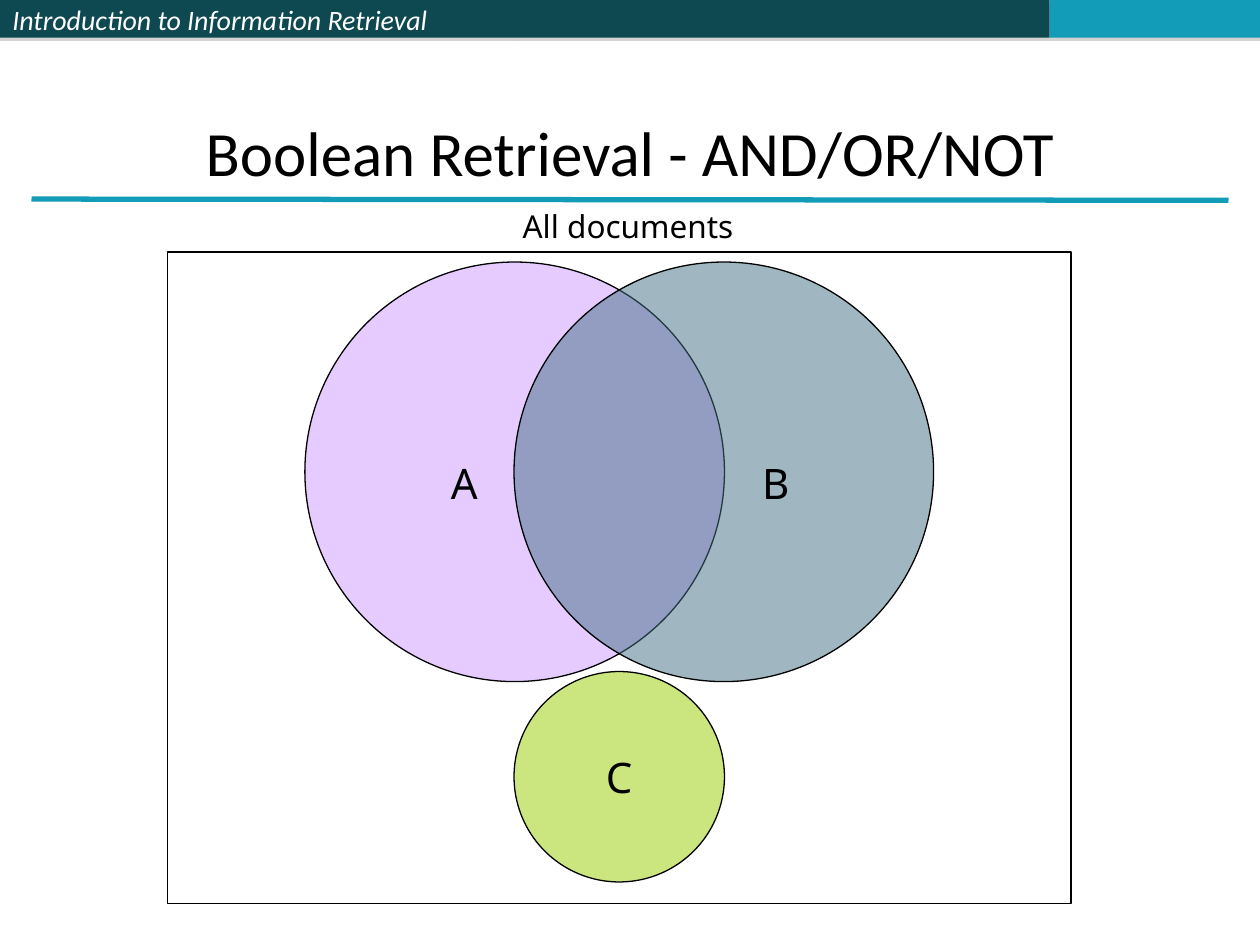
"""Build a Venn diagram slide about Boolean retrieval."""
from lxml import etree
from pptx import Presentation
from pptx.dml.color import RGBColor
from pptx.enum import shapes, text
from pptx.oxml import ns
from pptx.util import Inches, Pt

BARS = [
    (0, 4.08, "0E4851", "Introduction to Information Retrieval"),
    (4.08, 4.25, "0E4851", ""),
    (8.33, 1.67, "139CB7", ""),
]
TITLE = ("Boolean Retrieval - AND/OR/NOT", (0.5, 0.3, 9, 1.25))
FRAME = (1.33, 2, 7.17, 5.17)
CIRCLES = [
    (2.42, 2.08, 3.33, "CC99FF", ""),
    (4.08, 2.08, 3.33, "437085", ""),
    (4.08, 5.33, 1.67, "99CC00", "C"),
]
LABELS = [
    ("A", (3.48, 3.58, 0.41, 0.5), 24),
    ("B", (5.95, 3.58, 0.41, 0.5), 24),
    ("All documents", (4.05, 1.59, 1.87, 0.4), 18),
]


def rgb(color):
    return RGBColor.from_string(color)


def add_child(parent, tag, **attrs):
    return etree.SubElement(parent, ns.qn(tag), {k: str(v) for k, v in attrs.items()})


def add_shape(s, kind, box, fill=None, outline=None):
    sp = s.shapes.add_shape(kind, *map(Inches, box))
    sp.shadow.inherit = False
    if fill:
        sp.fill.solid()
        sp.fill.fore_color.rgb = rgb(fill)
    else:
        sp.fill.background()
    if outline:
        sp.line.color.rgb = rgb(outline)
        sp.line.width = Pt(0.75)
    else:
        sp.line.fill.background()
    return sp


def write(sp, words, size, font="Noto Sans", color="000000", align=text.PP_ALIGN.LEFT,
          anchor=text.MSO_ANCHOR.MIDDLE, wrap=False, italic=False):
    tf = sp.text_frame
    tf.text = words
    tf.word_wrap = wrap
    tf.vertical_anchor = anchor
    p = tf.paragraphs[0]
    p.alignment = align
    r = p.runs[0]
    r.font.name = font
    r.font.size = Pt(size)
    r.font.italic = italic
    r.font.color.rgb = rgb(color)


def add_text(s, words, box, size, **style):
    sp = s.shapes.add_textbox(*map(Inches, box))
    write(sp, words, size, **style)
    return sp


def add_header(s):
    for left, width, color, words in BARS:
        sp = add_shape(s, shapes.MSO_SHAPE.RECTANGLE, (left, 0, width, 0.3), color)
        effects = sp._element.spPr.find(ns.qn("a:effectLst"))
        shadow = add_child(effects, "a:outerShdw", blurRad=0, dist=Pt(1.8),
                           dir=90 * 60000, algn="ctr", rotWithShape=0)
        tint = add_child(shadow, "a:srgbClr", val="808080")
        add_child(tint, "a:alpha", val=35000)
        if words:
            write(sp, words, 16, font="Calibri", color="FFFFFF", wrap=True, italic=True)
    rule = s.shapes.add_connector(shapes.MSO_CONNECTOR.STRAIGHT,
                                  *map(Inches, (0.25, 1.58, 9.75, 1.59)))
    rule.line.color.rgb = rgb("139CB7")
    rule.line.width = Pt(3)
    add_child(rule._element.spPr, "a:effectLst")
    words, box = TITLE
    add_text(s, words, box, 36, font="Calibri", align=text.PP_ALIGN.CENTER,
             anchor=text.MSO_ANCHOR.BOTTOM, wrap=True)


def add_diagram(s):
    add_shape(s, shapes.MSO_SHAPE.RECTANGLE, FRAME, outline="000000")
    for left, top, size, color, words in CIRCLES:
        sp = add_shape(s, shapes.MSO_SHAPE.OVAL, (left, top, size, size), color, "000000")
        tint = sp._element.spPr.find(ns.qn("a:solidFill"))[0]
        add_child(tint, "a:alpha", val=50000)
        if words:
            write(sp, words, 24, align=text.PP_ALIGN.CENTER)
    for words, box, size in LABELS:
        sp = add_text(s, words, box, size, anchor=text.MSO_ANCHOR.TOP)
        sp.text_frame.auto_size = text.MSO_AUTO_SIZE.SHAPE_TO_FIT_TEXT


def main():
    prs = Presentation()
    prs.slide_width, prs.slide_height = Inches(10), Inches(7.5)
    s = prs.slides.add_slide(prs.slide_layouts[6])
    add_header(s)
    add_diagram(s)
    prs.save("out.pptx")


if __name__ == "__main__":
    main()
